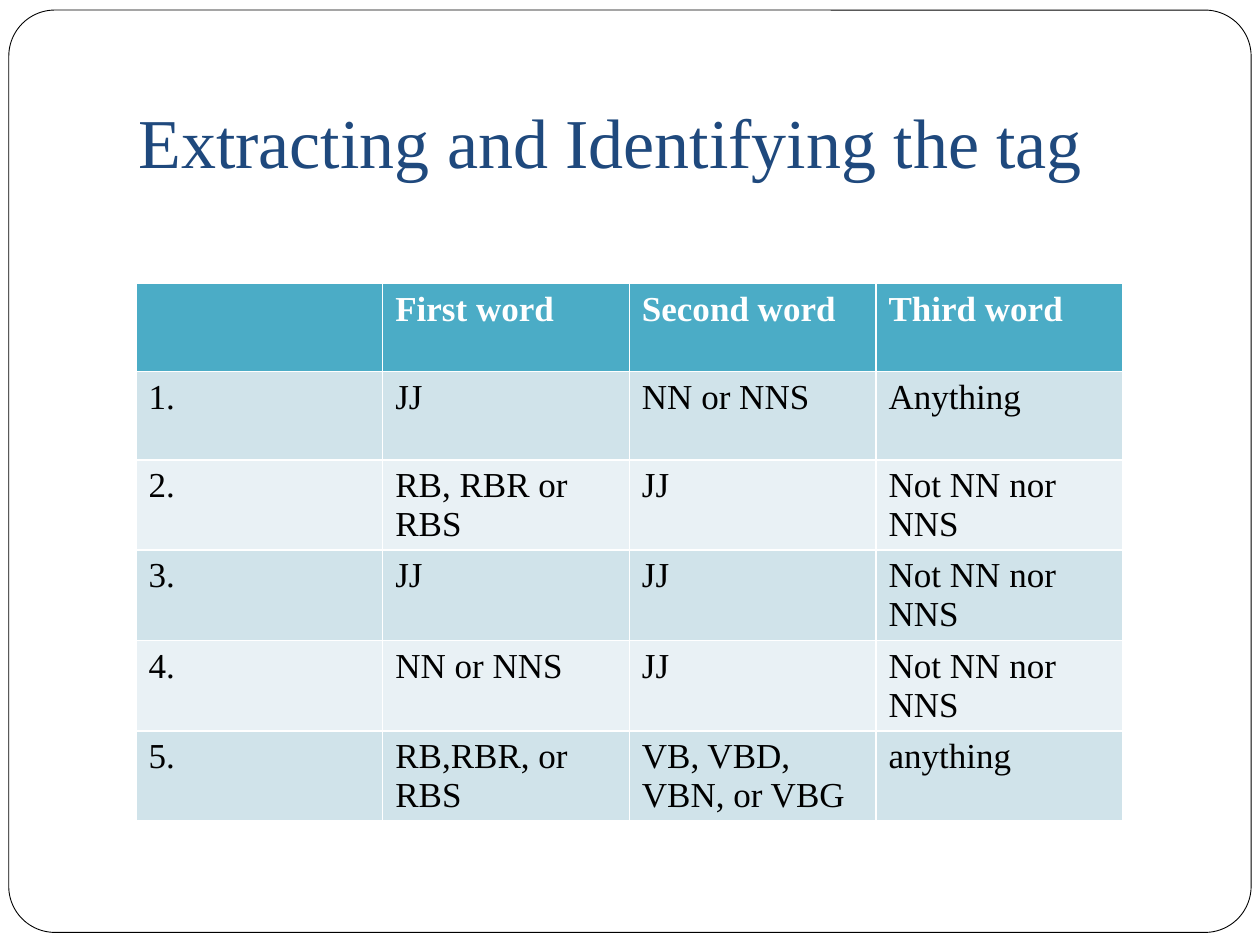
from pptx import Presentation
from pptx.dml.color import RGBColor
from pptx.enum.shapes import MSO_SHAPE
from pptx.enum.text import MSO_ANCHOR, PP_ALIGN
from pptx.util import Inches, Pt

FONT = "Times New Roman"
HEADER_FILL, BAND_FILLS = "4BACC6", ("D0E3EA", "E9F1F5")
ROWS = [
    ("", "First word", "Second word", "Third word"),
    ("1.", "JJ", "NN or NNS", "Anything"),
    ("2.", "RB, RBR or RBS", "JJ", "Not NN nor NNS"),
    ("3.", "JJ", "JJ", "Not NN nor NNS"),
    ("4.", "NN or NNS", "JJ", "Not NN nor NNS"),
    ("5.", "RB,RBR, or RBS", "VB, VBD, VBN, or VBG", "anything"),
]


def color(hex_string):
    return RGBColor.from_string(hex_string)


def format_font(paragraph, size, hex_string, bold=False):
    font = paragraph.font
    font.name, font.size, font.bold = FONT, Pt(size), bold
    font.color.rgb = color(hex_string)


def add_frame(slide, box):
    frame = slide.shapes.add_shape(MSO_SHAPE.ROUNDED_RECTANGLE, *map(Inches, box))
    frame.adjustments[0] = 0.05
    frame.shadow.inherit = False
    frame.fill.solid()
    frame.fill.fore_color.rgb = color("FFFFFF")
    frame.line.color.rgb = color("000000")
    frame.line.width = Pt(0.5)
    # Send the frame behind the title
    slide.shapes._spTree.insert(2, frame._element)


def fill_title(slide, box, text):
    title = slide.shapes.title
    title.left, title.top, title.width, title.height = map(Inches, box)
    text_frame = title.text_frame
    text_frame.text = text
    text_frame.vertical_anchor = MSO_ANCHOR.BOTTOM
    text_frame.margin_bottom = Inches(0.1)
    paragraph = text_frame.paragraphs[0]
    paragraph.alignment = PP_ALIGN.LEFT
    format_font(paragraph, 40, "1F497D")


def add_tag_table(slide, box, rows):
    # The default table style supplies the white cell borders
    table = slide.shapes.add_table(len(rows), len(rows[0]), *map(Inches, box)).table
    for row_index, row in enumerate(rows):
        is_header = row_index == 0
        fill = HEADER_FILL if is_header else BAND_FILLS[(row_index - 1) % 2]
        for column_index, text in enumerate(row):
            cell = table.cell(row_index, column_index)
            cell.text = text
            cell.fill.solid()
            cell.fill.fore_color.rgb = color(fill)
            format_font(cell.text_frame.paragraphs[0], 20,
                        "FFFFFF" if is_header else "000000", is_header)


def main():
    presentation = Presentation()
    presentation.slide_width, presentation.slide_height = Inches(10), Inches(7.5)
    slide = presentation.slides.add_slide(presentation.slide_layouts[5])
    add_frame(slide, (0.07, 0.08, 9.86, 7.32))
    fill_title(slide, (1, 0.3, 8.5, 1.25), "Extracting and Identifying the tag")
    add_tag_table(slide, (1.08, 2.25, 7.83, 4.2), ROWS)
    presentation.save("out.pptx")


if __name__ == "__main__":
    main()
